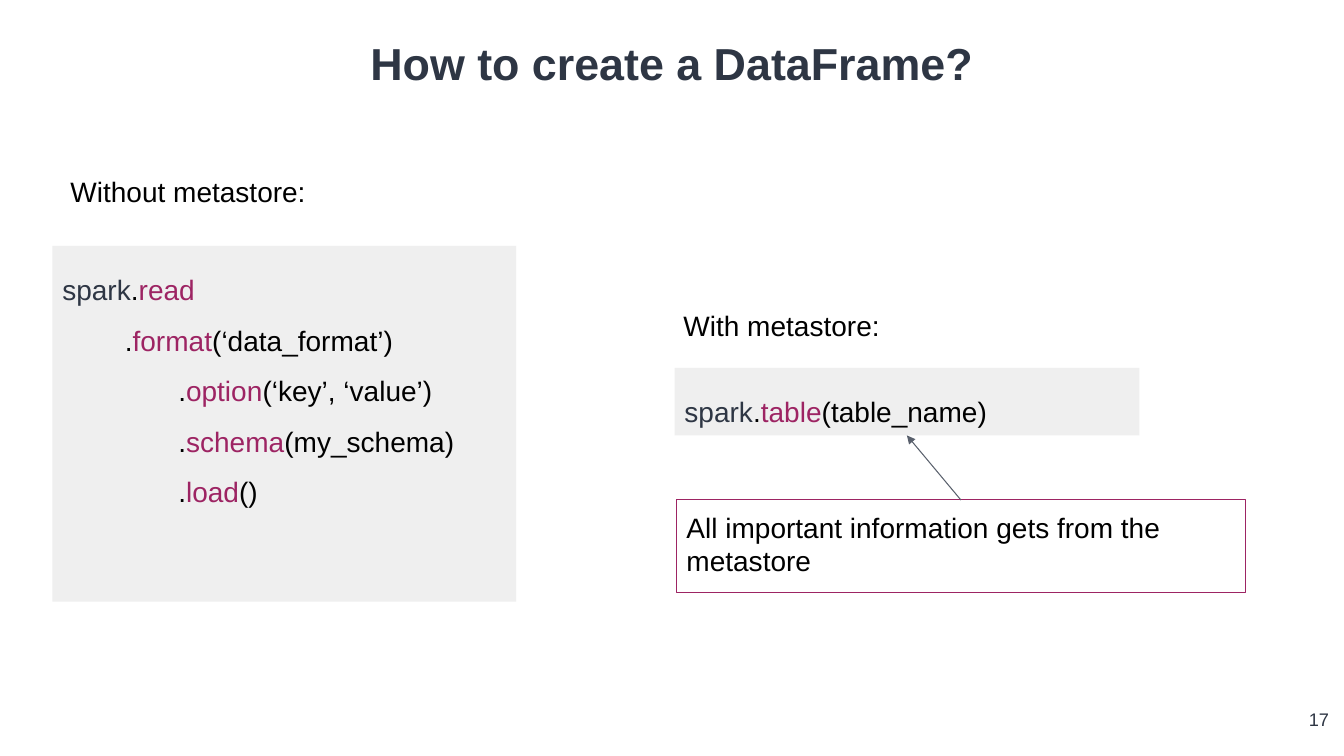
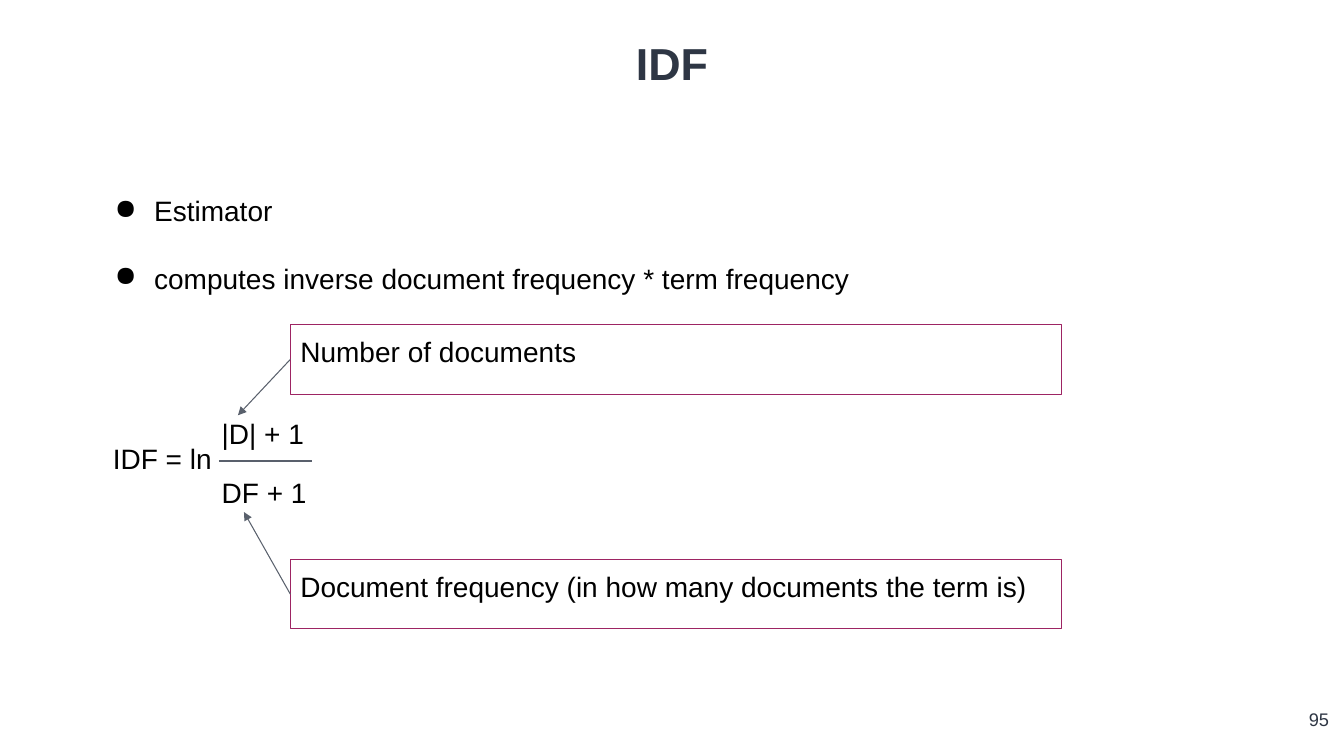
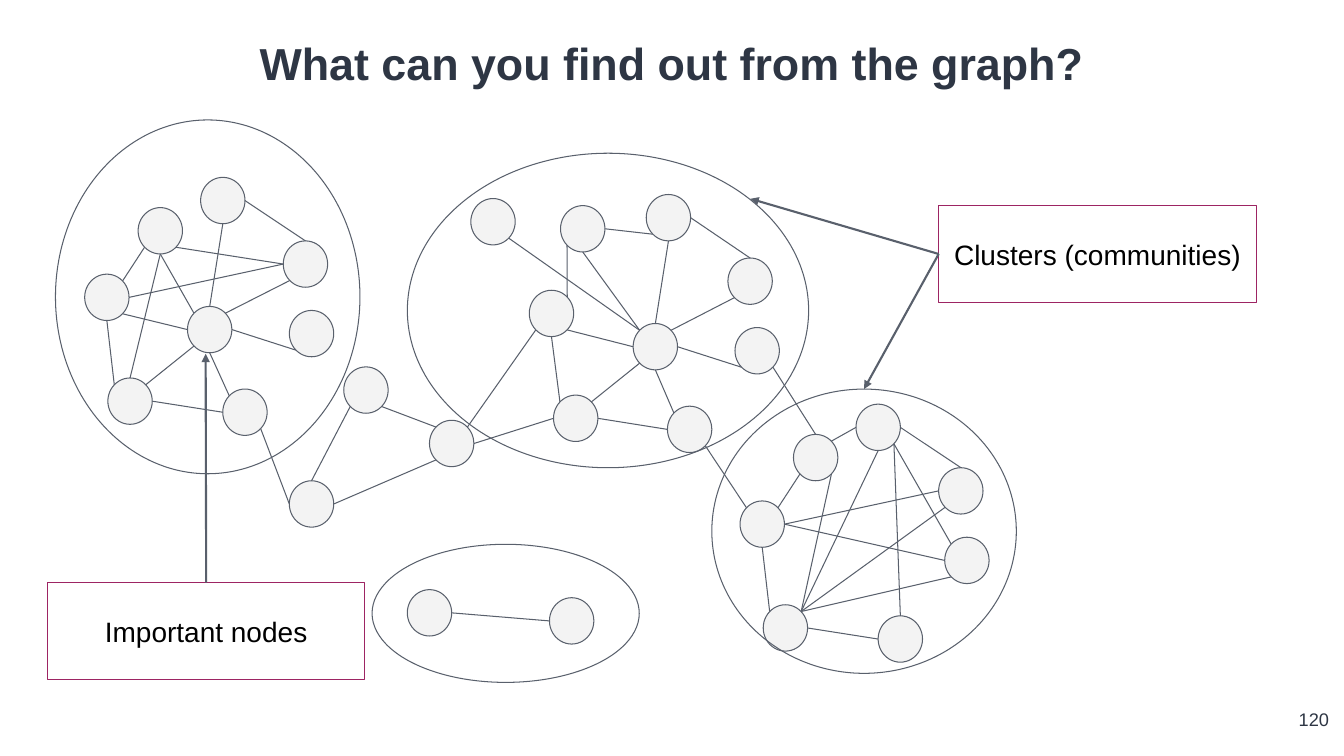
import pptx
import pptx.util
import pptx.dml.color
import pptx.enum.shapes
import pptx.enum.text
import pptx.oxml.ns
import lxml.etree
from dataclasses import dataclass

Inches = pptx.util.Inches
Pt = pptx.util.Pt
Shape = pptx.enum.shapes.MSO_SHAPE
Align = pptx.enum.text.PP_ALIGN
Anchor = pptx.enum.text.MSO_ANCHOR
qn = pptx.oxml.ns.qn


@dataclass(frozen=True)
class Theme:
    font: str = "Arial"
    navy: str = "2E3644"
    black: str = "000000"
    berry: str = "9D2463"
    slate: str = "59606C"
    code_fill: str = "EFEFEF"
    node_fill: str = "F3F3F3"
    title_size: int = 32
    body_size: int = 20
    number_size: int = 13
    thin: float = 0.75
    thick: float = 1.5
    inset: float = 0.1


THEME = Theme()
TITLE_PLACE = (1.07, 0.38, 11.19, 0.56)
NUMBER_PLACE = (12.48, 6.93, 0.8, 0.57)


def call(owner, method, arguments):
    return [(owner, THEME.navy if owner == "spark" else THEME.black),
            (".", THEME.black), (method, THEME.berry), (arguments, THEME.black)]


READ_CODE = [
    call("spark", "read", ""),
    call("", "format", "(‘data_format’)"),
    call("", "option", "(‘key’, ‘value’)"),
    call("", "schema", "(my_schema)"),
    call("", "load", "()"),
]
READ_INDENTS = [0, 0.62, 1.15, 1.15, 1.15]
READ_PLACE = (0.52, 2.44, 4.6, 3.53)
TABLE_CODE = [call("spark", "table", "(table_name)")]
TABLE_PLACE = (6.69, 3.65, 4.61, 0.67)
METASTORE_NOTE = (6.71, 4.96, 5.64, 0.92)
CODE_HEADINGS = [
    ("With metastore:", (6.68, 2.96, 4.53, 0.67)),
    ("Without metastore:", (0.6, 1.63, 4.53, 0.67)),
]

IDF_POINTS = ["Estimator", "computes inverse document frequency * term frequency"]
FORMULA = [
    ("IDF = ln", (1.02, 4.28, 1.19, 0.82)),
    ("|D| + 1", (2.1, 4.03, 1.19, 1.51)),
    ("DF + 1", (2.1, 4.62, 1.19, 1.51)),
]
FORMULA_NOTES = [
    ("Document frequency (in how many documents the term is)", 5.55, (2.42, 5.08)),
    ("Number of documents", 3.22, (2.36, 4.12)),
]

NODE_SIZE = (0.44, 0.46)
NODES = {
    "a1": (1.37, 2.06), "a2": (1.99, 1.76), "a3": (0.84, 2.72), "a4": (1.86, 3.04),
    "a5": (2.87, 3.08), "a6": (1.07, 3.75), "a7": (2.81, 2.39), "a8": (2.21, 3.86),
    "m1": (2.87, 4.77), "m2": (4.26, 4.17), "m3": (3.41, 3.64),
    "b1": (5.56, 2.04), "b2": (6.41, 1.93), "b3": (5.25, 2.88), "b4": (6.28, 3.21),
    "b5": (7.29, 3.25), "b6": (5.49, 3.92), "b7": (7.22, 2.56), "b8": (6.62, 4.03),
    "b9": (4.67, 1.97),
    "c1": (7.87, 4.31), "c2": (8.49, 4.01), "c3": (7.34, 4.97), "c4": (9.37, 5.33),
    "c5": (7.57, 6), "c6": (9.31, 4.64), "c7": (8.71, 6.11),
    "d1": (4.04, 5.85), "d2": (5.45, 5.93),
}
EDGES = [
    "a4 w a3 se", "a4 nw a1 s", "a4 n a2 s", "a4 sw a6 ne", "a6 e a8 w", "a8 nw a4 s",
    "a4 e a5 sw", "a4 ne a7 sw", "a6 n a1 s", "a3 ne a1 sw", "a3 s a6 nw", "a1 se a7 w",
    "a2 e a7 n", "a3 e a7 w",
    "a8 se m1 w", "m2 sw m1 e", "m1 n m3 sw", "m3 se m2 nw", "m2 e b6 w", "m2 ne b3 sw",
    "b4 w b3 se", "b4 nw b1 s", "b4 n b2 s", "b4 sw b6 ne", "b6 e b8 w", "b8 nw b4 s",
    "b4 e b5 sw", "b4 ne b7 sw", "b3 ne b1 sw", "b3 s b6 nw", "b2 e b7 n", "b1 e b2 sw",
    "b9 se b4 nw", "b8 se c3 nw", "b5 se c1 n",
    "c5 e c7 w", "c3 ne c1 sw", "c3 s c5 nw", "c2 e c6 n", "c5 ne c1 se", "c5 ne c6 sw",
    "c5 ne c2 s", "c5 ne c4 sw", "c3 e c4 w", "c3 e c6 w", "c2 se c7 n", "c2 se c4 nw",
    "c1 ne c2 w", "d1 e d2 w",
]
CLUSTERS = {
    "left": (0.55, 1.19, 3.02, 3.51),
    "middle": (4.04, 1.52, 3.98, 3.12),
    "right": (7.06, 3.86, 3.02, 2.82),
    "pair": (3.69, 5.4, 2.65, 1.37),
}
CLUSTER_LABEL = (9.31, 2.04, 3.15, 0.96)
NODE_LABEL = (0.47, 5.78, 3.15, 0.96)


def colour(value):
    return pptx.dml.color.RGBColor.from_string(value)


def site(place, compass):
    left, top, width, height = place
    across = ("e" in compass) - ("w" in compass)
    down = ("s" in compass) - ("n" in compass)
    reach = 0.71 if across and down else 1
    return (left + width / 2 * (1 + reach * across),
            top + height / 2 * (1 + reach * down))


def add_box(page, place, kind=Shape.RECTANGLE, fill=None, line=None):
    box = page.shapes.add_shape(kind, *map(Inches, place))
    box.shadow.inherit = False
    if fill:
        box.fill.solid()
        box.fill.fore_color.rgb = colour(fill)
    else:
        box.fill.background()
    if line:
        box.line.color.rgb = colour(line)
        box.line.width = Pt(THEME.thin)
    else:
        box.line.fill.background()
    return box


def add_text(page, text, place=None, box=None, size=THEME.body_size, color=THEME.black,
             bold=False, align=Align.LEFT, anchor=Anchor.TOP, spacing=None,
             indents=None, bullet=None):
    box = box or page.shapes.add_textbox(*map(Inches, place))
    frame = box.text_frame
    frame.word_wrap = True
    frame.vertical_anchor = anchor
    frame.margin_left = frame.margin_right = Inches(THEME.inset)
    frame.margin_top = frame.margin_bottom = Inches(THEME.inset)
    paragraphs = [text] if isinstance(text, str) else text
    for index, content in enumerate(paragraphs):
        para = frame.add_paragraph() if index else frame.paragraphs[0]
        para.alignment = align
        if spacing:
            para.line_spacing = spacing
        spans = [(content, color)] if isinstance(content, str) else content
        for words, tint in spans:
            if words:
                span = para.add_run()
                span.text = words
                span.font.name = THEME.font
                span.font.size = Pt(size)
                span.font.bold = bold
                span.font.color.rgb = colour(tint)
        properties = para._p.get_or_add_pPr()
        if indents:
            properties.set("marL", str(Inches(indents[index])))
        if bullet:
            properties.set("marL", str(Inches(0.5)))
            properties.set("indent", str(Inches(-0.39)))
            lxml.etree.SubElement(properties, qn("a:buChar")).set("char", bullet)
    return box


def add_line(page, start, end, width=THEME.thin, arrow=False):
    line = page.shapes.add_connector(pptx.enum.shapes.MSO_CONNECTOR.STRAIGHT,
                                     *map(Inches, start + end))
    line.line.color.rgb = colour(THEME.slate)
    line.line.width = Pt(width)
    if arrow:
        tail = lxml.etree.SubElement(line.line._get_or_add_ln(), qn("a:tailEnd"))
        tail.set("type", "triangle")
    lxml.etree.SubElement(line._element.spPr, qn("a:effectLst"))


def add_note(page, text, place, **style):
    add_text(page, text, box=add_box(page, place, line=THEME.berry), **style)


def add_page(deck, title, number):
    page = deck.slides.add_slide(deck.slide_layouts[6])
    add_text(page, title, TITLE_PLACE, size=THEME.title_size, color=THEME.navy, bold=True,
             align=Align.CENTER, anchor=Anchor.MIDDLE, spacing=0.9)
    add_text(page, str(number), NUMBER_PLACE, size=THEME.number_size, color=THEME.navy,
             align=Align.RIGHT)
    return page


def build_dataframe(deck):
    page = add_page(deck, "How to create a DataFrame?", 17)
    for code, place, indents in [(READ_CODE, READ_PLACE, READ_INDENTS),
                                 (TABLE_CODE, TABLE_PLACE, None)]:
        add_text(page, code, box=add_box(page, place, fill=THEME.code_fill),
                 spacing=1.5, indents=indents)
    add_note(page, "All important information gets from the metastore", METASTORE_NOTE)
    add_line(page, site(METASTORE_NOTE, "n"), site(TABLE_PLACE, "s"), arrow=True)
    for heading, place in CODE_HEADINGS:
        add_text(page, heading, place)


def build_idf(deck):
    page = add_page(deck, "IDF", 95)
    add_text(page, IDF_POINTS, (0.93, 1.49, 11.33, 1.4), spacing=2.0, bullet="●")
    for part, place in FORMULA:
        add_text(page, part, place)
    add_line(page, (2.17, 4.57), (3.09, 4.57), width=THEME.thick)
    for note, top, target in FORMULA_NOTES:
        place = (2.88, top, 7.65, 0.69)
        add_note(page, note, place)
        add_line(page, site(place, "w"), target, arrow=True)


def build_graph(deck):
    page = add_page(deck, "What can you find out from the graph?", 120)
    places = {name: corner + NODE_SIZE for name, corner in NODES.items()}
    for place in places.values():
        add_box(page, place, Shape.FLOWCHART_CONNECTOR, THEME.node_fill, THEME.slate)
    for edge in EDGES:
        first, leaving, second, arriving = edge.split()
        add_line(page, site(places[first], leaving), site(places[second], arriving))
    for place in CLUSTERS.values():
        add_box(page, place, Shape.OVAL, line=THEME.slate)
    for label, place in [("Clusters (communities)", CLUSTER_LABEL),
                         ("Important nodes", NODE_LABEL)]:
        add_note(page, label, place, align=Align.CENTER, anchor=Anchor.MIDDLE)
    for start, end in [
        (site(CLUSTER_LABEL, "w"), site(CLUSTERS["middle"], "ne")),
        (site(CLUSTER_LABEL, "w"), site(CLUSTERS["right"], "n")),
        (site(NODE_LABEL, "n"), (2.04, 3.51)),
    ]:
        add_line(page, start, end, width=THEME.thick, arrow=True)


def main():
    deck = pptx.Presentation()
    deck.slide_width = Inches(13.33)
    deck.slide_height = Inches(7.5)
    for build in (build_dataframe, build_idf, build_graph):
        build(deck)
    deck.save("out.pptx")


if __name__ == "__main__":
    main()
